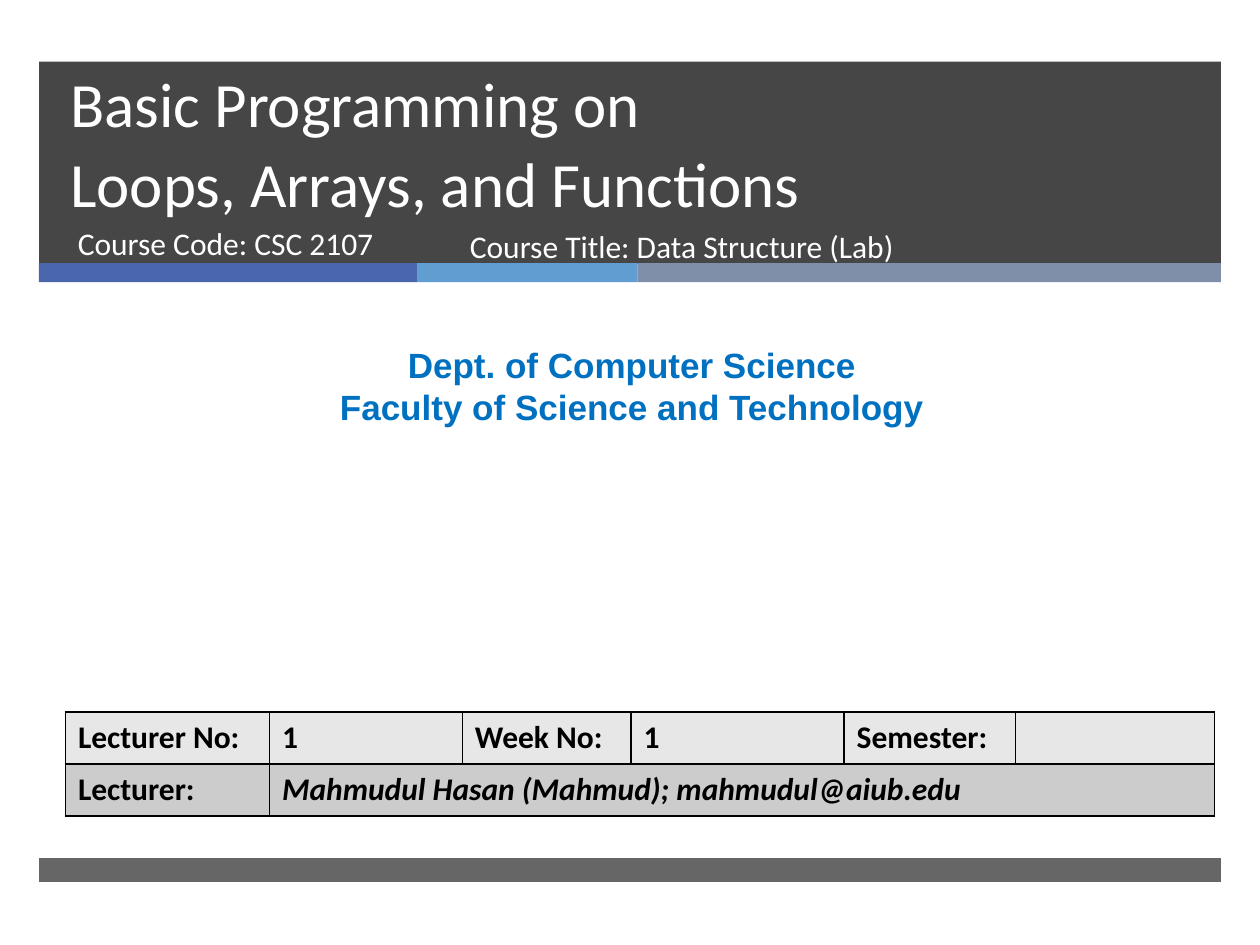
import pptx
import pptx.util
import pptx.oxml
import pptx.oxml.ns
import pptx.dml.color
import pptx.enum.shapes
import pptx.enum.text

Pt = pptx.util.Pt
ALIGN = pptx.enum.text.PP_ALIGN
ANCHOR = pptx.enum.text.MSO_ANCHOR

THEME = {
    "dark": "262626", "white": "FFFFFF", "black": "000000", "heading": "0070C0",
    "accents": ["4A66AC", "629DD1", "7F8FA9"], "rows": ["E7E7E7", "CCCCCC"],
    "body": "Calibri", "dept": "Arial",
    "title_size": 36, "dept_size": 20, "text_size": 18,
}

# Content
TITLE = ["Basic Programming on", "Loops, Arrays, and Functions"]
COURSE = [("Course Code: CSC 2107", (37.4, 124.6, 219.6, 38.2)),
          ("Course Title: Data Structure (Lab)", (261.4, 126, 327.6, 38.2))]
DEPT = ["Dept. of Computer Science", "Faculty of Science and Technology"]
LECTURE = [["Lecturer No:", "1", "Week No:", "1", "Semester:", ""],
           ["Lecturer:", "Mahmudul Hasan (Mahmud); mahmudul@aiub.edu"]]

# Layout
LEFT, WIDTH = 22.3, 675.4
STRIPES = [216, 126, 333.4]
COLUMNS = [116.6, 110.2, 96.5, 121.7, 97.9, 113.8]
ROW_H = 29.8


def rgb(value):
    return pptx.dml.color.RGBColor.from_string(value)


def add_bar(slide, x, y, w, h, color, opacity=100):
    sp = slide.shapes.add_shape(pptx.enum.shapes.MSO_SHAPE.RECTANGLE,
                                Pt(x), Pt(y), Pt(w), Pt(h))
    sp.shadow.inherit = False
    sp.line.fill.background()
    sp.fill.solid()
    sp.fill.fore_color.rgb = rgb(color)
    if opacity < 100:
        clr = sp._element.spPr.find(".//" + pptx.oxml.ns.qn("a:srgbClr"))
        alpha = clr.makeelement(pptx.oxml.ns.qn("a:alpha"), {"val": str(opacity * 1000)})
        clr.append(alpha)


def add_run(p, text, size, color, font=THEME["body"], bold=False, italic=False):
    r = p.add_run()
    r.text = text
    r.font.name, r.font.size = font, Pt(size)
    r.font.bold, r.font.italic = bold, italic
    r.font.color.rgb = rgb(color)


def add_box(slide, x, y, w, h, anchor=ANCHOR.TOP):
    tf = slide.shapes.add_textbox(Pt(x), Pt(y), Pt(w), Pt(h)).text_frame
    tf.word_wrap = True
    tf.vertical_anchor = anchor
    return tf


def outline_cell(cell):
    tc_pr = cell._tc.get_or_add_tcPr()
    for i, side in enumerate(("lnL", "lnR", "lnT", "lnB")):
        tc_pr.insert(i, pptx.oxml.parse_xml(
            f'<a:{side} {pptx.oxml.ns.nsdecls("a")} w="{Pt(1)}"><a:solidFill>'
            f'<a:srgbClr val="{THEME["black"]}"/></a:solidFill></a:{side}>'))


def add_lecture_table(slide):
    table = slide.shapes.add_table(len(LECTURE), len(COLUMNS), Pt(37.4), Pt(406.8),
                                   Pt(sum(COLUMNS)), Pt(ROW_H * len(LECTURE))).table
    for column, width in zip(table.columns, COLUMNS):
        column.width = Pt(width)
    for i, (texts, fill) in enumerate(zip(LECTURE, THEME["rows"])):
        table.rows[i].height = Pt(ROW_H)
        for cell in table.rows[i].cells:
            cell.fill.solid()
            cell.fill.fore_color.rgb = rgb(fill)
            outline_cell(cell)
        for j, text in enumerate(texts):
            if text:
                add_run(table.cell(i, j).text_frame.paragraphs[0], text,
                        THEME["text_size"], THEME["black"], bold=True,
                        italic=(i, j) == (1, 1))
    table.cell(1, 1).merge(table.cell(1, len(COLUMNS) - 1))


def main():
    prs = pptx.Presentation()
    prs.slide_width, prs.slide_height = Pt(720), Pt(540)
    slide = prs.slides.add_slide(prs.slide_layouts[6])

    # Header band, accent stripes and footer band
    add_bar(slide, LEFT, 35.2, WIDTH, 115.6, THEME["dark"], 85)
    x = LEFT
    for width, color in zip(STRIPES, THEME["accents"]):
        add_bar(slide, x, 150.4, width, 10.8, color)
        x += width
    add_bar(slide, LEFT, 490.3, WIDTH, 13.7, THEME["dark"], 70)

    # Title
    p = add_box(slide, 33.1, 43.9, 614.9, 85.7, ANCHOR.BOTTOM).paragraphs[0]
    p.line_spacing = Pt(46)
    for i, line in enumerate(TITLE):
        if i:
            p.add_line_break()
        add_run(p, line, THEME["title_size"], THEME["white"])

    # Course code and title
    for text, frame in COURSE:
        add_run(add_box(slide, *frame).paragraphs[0], text,
                THEME["text_size"], THEME["white"])

    # Department
    tf = add_box(slide, 5.8, 193, 710.6, 55.4)
    for i, line in enumerate(DEPT):
        p = tf.add_paragraph() if i else tf.paragraphs[0]
        p.alignment = ALIGN.CENTER
        add_run(p, line, THEME["dept_size"], THEME["heading"], THEME["dept"], bold=True)

    # Lecture details
    add_lecture_table(slide)
    prs.save("out.pptx")


if __name__ == "__main__":
    main()
